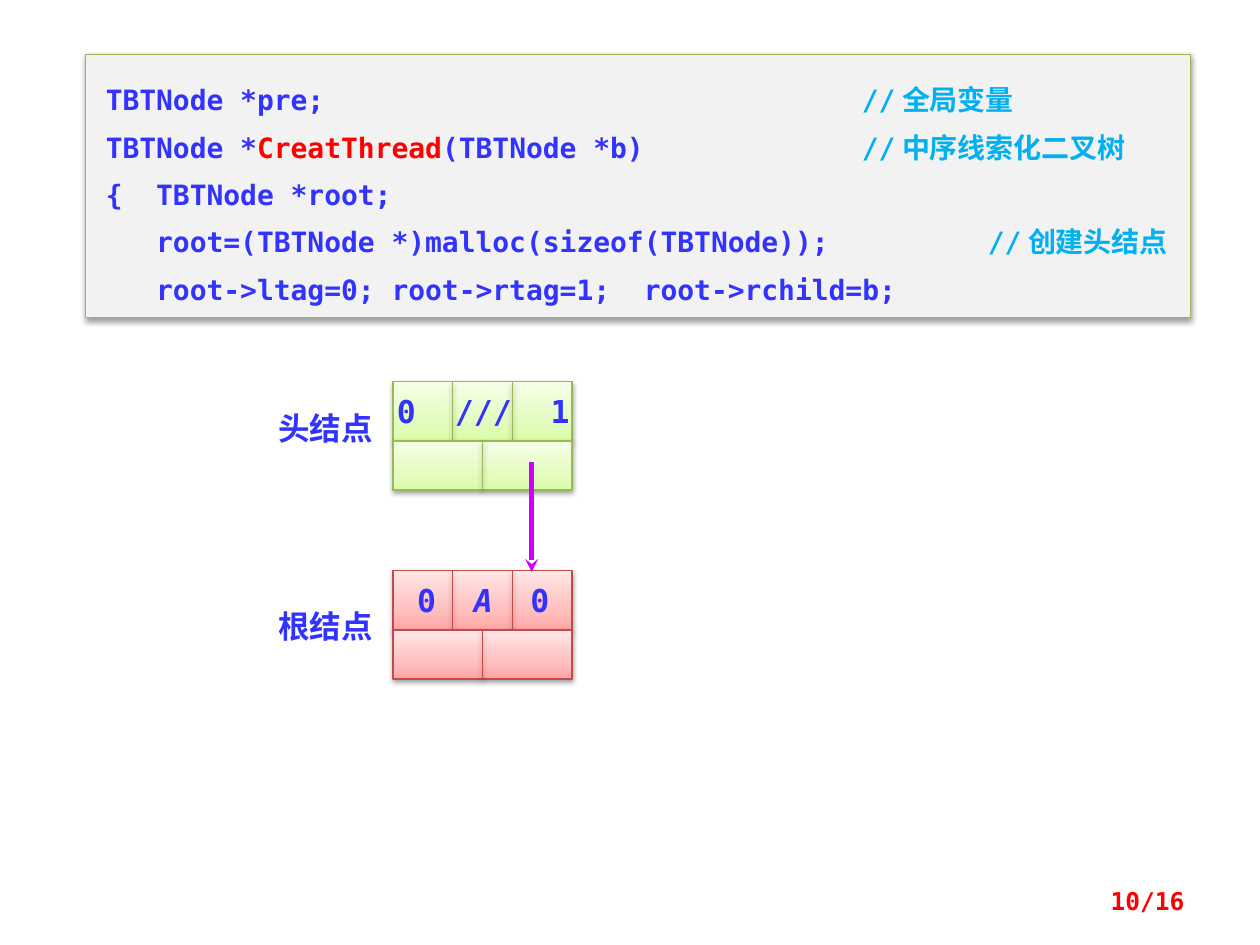
"""Build the slide on creating the head node of a threaded binary tree."""
from dataclasses import dataclass

from lxml import etree
from pptx import Presentation
from pptx.dml.color import RGBColor
from pptx.enum import shapes, text
from pptx.oxml.ns import qn
from pptx.util import Inches, Pt


@dataclass(frozen=True)
class Theme:
    mono: str = "DejaVu Sans Mono"
    chinese: str = "Noto Sans CJK SC"
    code: str = "3333FF"
    comment: str = "00B0F0"
    accent: str = "FF0000"
    panel: str = "F2F2F2"
    green: str = "98B955"
    red: str = "BF4C48"
    arrow: str = "CC00FF"
    green_gradient: tuple = ((0, "DAFDA7"), (35, "E4FCC2"), (100, "F5FFE7"))
    red_gradient: tuple = ((0, "FFA6A5"), (35, "FFC0BF"), (100, "FFE7E7"))
    code_size: int = 16
    label_size: int = 18
    page_size: int = 14
    thin: float = 0.75
    thick: float = 2.5


@dataclass(frozen=True)
class Node:
    label: str
    label_top: float
    top: float
    values: tuple
    inset: float
    tabs: tuple
    line: str
    gradient: tuple


THEME = Theme()
NODE_LEFT, NODE_WIDTH = 3.12, 1.42
TAG_HEIGHT, LINK_HEIGHT = 0.47, 0.39

NODES = (
    Node("头结点", 3.2, 3.03, ("0", "///", "1"), 0.03, (0.46, 1.22),
         THEME.green, THEME.green_gradient),
    Node("根结点", 4.77, 4.53, ("0", "A", "0"), 0.19, (0.45, 0.9),
         THEME.red, THEME.red_gradient),
)

CODE_LINES = (
    (("TBTNode *pre;", THEME.code), ("\t//全局变量", THEME.comment)),
    (("TBTNode *", THEME.code), ("CreatThread", THEME.accent),
     ("(TBTNode *b)", THEME.code), ("\t//中序线索化二叉树", THEME.comment)),
    (("{  TBTNode *root;", THEME.code),),
    (("   root=(TBTNode *)malloc(sizeof(TBTNode));", THEME.code),
     ("\t//创建头结点", THEME.comment)),
    (("   root->ltag=0; root->rtag=1;  root->rchild=b;", THEME.code),),
)
COMMENT_TABS = (6.0, 6.0, 6.0, 7.0, 6.0)


def add_run(paragraph, words: str, size: int, color: str, font: str = THEME.mono,
            bold: bool = True, italic: bool = False) -> None:
    """Append a styled run that also names its East Asian font."""
    run = paragraph.add_run()
    run.text = words
    run.font.name, run.font.size = font, Pt(size)
    run.font.bold, run.font.italic = bold, italic
    run.font.color.rgb = RGBColor.from_string(color)
    latin = run.font._element.find(qn("a:latin"))
    latin.addnext(latin.makeelement(qn("a:ea"), {"typeface": THEME.chinese}))


def set_tabs(paragraph, positions: tuple) -> None:
    """Give a paragraph left tab stops."""
    tabs = etree.SubElement(paragraph._p.get_or_add_pPr(), qn("a:tabLst"))
    for position in positions:
        etree.SubElement(tabs, qn("a:tab"), pos=str(Inches(position)), algn="l")


def add_shadow(effects) -> None:
    """Fill an effect list with the soft shadow below."""
    shadow = etree.SubElement(effects, qn("a:outerShdw"), blurRad=str(Pt(3.1)),
                              dist=str(Pt(1.6)), dir="5400000", rotWithShape="0")
    color = etree.SubElement(shadow, qn("a:srgbClr"), val="000000")
    etree.SubElement(color, qn("a:alpha"), val="38000")


def add_box(slide, left: float, top: float, width: float, height: float, line: str):
    """Add an outlined, shadowed rectangle."""
    box = slide.shapes.add_shape(shapes.MSO_SHAPE.RECTANGLE, Inches(left), Inches(top),
                                 Inches(width), Inches(height))
    box.line.color.rgb = RGBColor.from_string(line)
    box.line.width = Pt(THEME.thin)
    box.shadow.inherit = False
    add_shadow(box._element.spPr.find(qn("a:effectLst")))
    return box


def fill_gradient(box, stops: tuple) -> None:
    """Fill a box with a gradient running from bottom to top."""
    box.fill.gradient()
    box.fill.gradient_angle = 90
    stop_list = box._element.spPr.find(qn("a:gradFill")).find(qn("a:gsLst"))
    for old in list(stop_list):
        stop_list.remove(old)
    for position, color in stops:
        stop = etree.SubElement(stop_list, qn("a:gs"), pos=str(position * 1000))
        etree.SubElement(stop, qn("a:srgbClr"), val=color)


def add_line(slide, x: float, top: float, bottom: float, color: str, width: float):
    """Add a vertical connector and return it with its empty effect list."""
    line = slide.shapes.add_connector(shapes.MSO_CONNECTOR.STRAIGHT, Inches(x), Inches(top),
                                      Inches(x), Inches(bottom))
    line.line.color.rgb = RGBColor.from_string(color)
    line.line.width = Pt(width)
    return line, etree.SubElement(line._element.spPr, qn("a:effectLst"))


def add_label(slide, left: float, top: float, width: float, words: str, size: int,
              color: str, font: str, bold: bool):
    """Add a one-line text box and return its paragraph."""
    frame = slide.shapes.add_textbox(Inches(left), Inches(top), Inches(width),
                                     Inches(0.4)).text_frame
    frame.word_wrap = True
    frame.vertical_anchor = text.MSO_ANCHOR.MIDDLE
    add_run(frame.paragraphs[0], words, size, color, font, bold)
    return frame.paragraphs[0]


def add_code(slide) -> None:
    """Add the panel of code with its comments."""
    panel = add_box(slide, 0.68, 0.43, 8.77, 2.09, THEME.green)
    panel.fill.solid()
    panel.fill.fore_color.rgb = RGBColor.from_string(THEME.panel)
    frame = panel.text_frame
    frame.word_wrap = True
    frame.vertical_anchor = text.MSO_ANCHOR.TOP
    frame.margin_left, frame.margin_right = Inches(0.16), Inches(0.1)
    frame.margin_top = frame.margin_bottom = Inches(0.12)
    for index, (pieces, tab) in enumerate(zip(CODE_LINES, COMMENT_TABS)):
        paragraph = frame.add_paragraph() if index else frame.paragraphs[0]
        paragraph.alignment = text.PP_ALIGN.LEFT
        paragraph.line_spacing = Pt(27)
        set_tabs(paragraph, (tab,))
        for words, color in pieces:
            add_run(paragraph, words, THEME.code_size, color)


def add_node(slide, node: Node) -> None:
    """Add a tree node: tags and data above, two links below, label at left."""
    tags = add_box(slide, NODE_LEFT, node.top, NODE_WIDTH, TAG_HEIGHT, node.line)
    fill_gradient(tags, node.gradient)
    frame = tags.text_frame
    frame.word_wrap = True
    frame.vertical_anchor = text.MSO_ANCHOR.MIDDLE
    frame.margin_left, frame.margin_right = Inches(node.inset), 0
    paragraph = frame.paragraphs[0]
    paragraph.alignment = text.PP_ALIGN.LEFT
    set_tabs(paragraph, node.tabs)
    for index, value in enumerate(node.values):
        add_run(paragraph, "\t" + value if index else value, THEME.label_size, THEME.code,
                italic=value == "A")
    middle = node.top + TAG_HEIGHT
    for part in (1, 2):
        x = NODE_LEFT + NODE_WIDTH * part / 3
        add_shadow(add_line(slide, x, node.top, middle, node.line, THEME.thin)[1])
    links = add_box(slide, NODE_LEFT, middle, NODE_WIDTH, LINK_HEIGHT, node.line)
    fill_gradient(links, node.gradient)
    divider, effects = add_line(slide, NODE_LEFT + NODE_WIDTH / 2, middle,
                                middle + LINK_HEIGHT, node.line, THEME.thin)
    divider.begin_connect(links, 0)
    divider.end_connect(links, 2)
    add_shadow(effects)
    add_label(slide, 2.11, node.label_top, 1.02, node.label, THEME.label_size,
              THEME.code, THEME.chinese, True)


def main() -> None:
    """Build and save the presentation."""
    presentation = Presentation()
    presentation.slide_width, presentation.slide_height = Inches(10), Inches(7.5)
    slide = presentation.slides.add_slide(presentation.slide_layouts[6])
    add_code(slide)
    for node in NODES:
        add_node(slide, node)
    arrow, _ = add_line(slide, 4.22, 3.67, 4.54, THEME.arrow, THEME.thick)
    etree.SubElement(arrow._element.spPr.find(qn("a:ln")), qn("a:tailEnd"), type="stealth")
    page = add_label(slide, 7.17, 6.95, 2.33, "10/16", THEME.page_size,
                     THEME.accent, THEME.mono, True)
    page.alignment = text.PP_ALIGN.RIGHT
    presentation.save("out.pptx")


if __name__ == "__main__":
    main()
